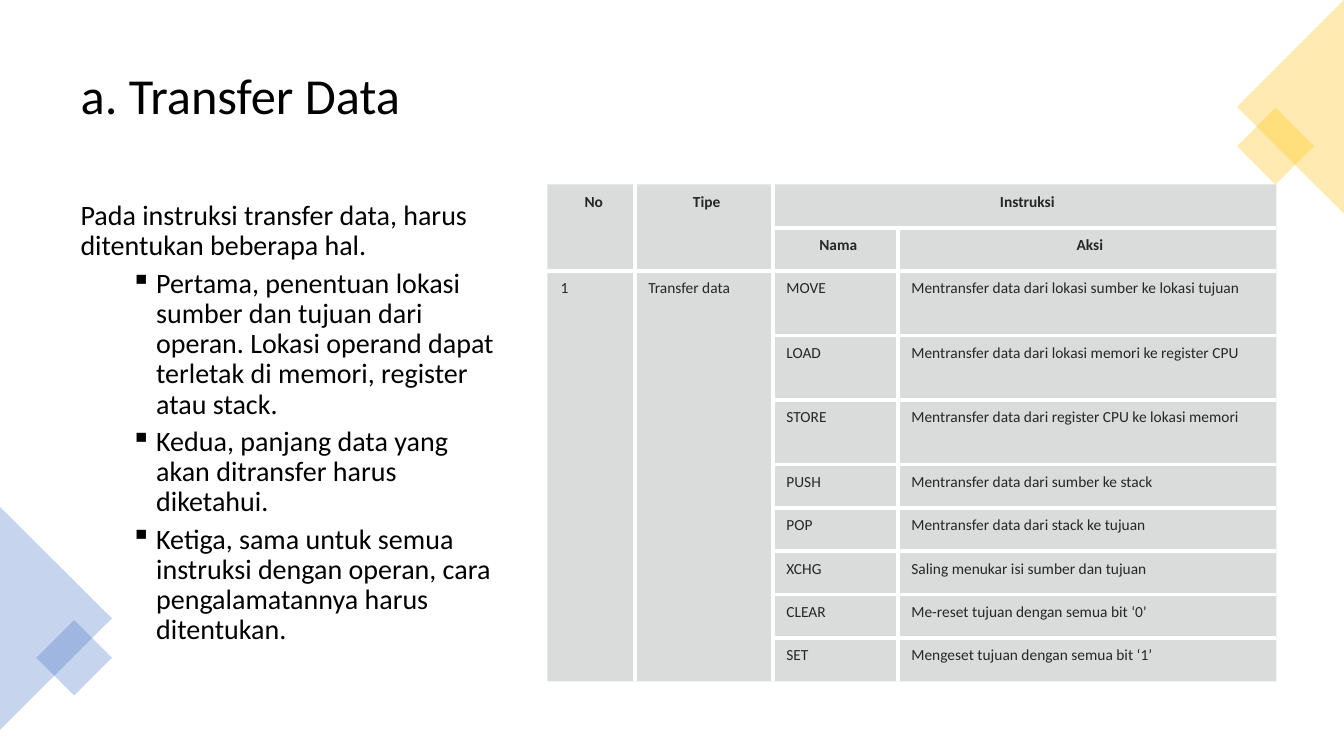
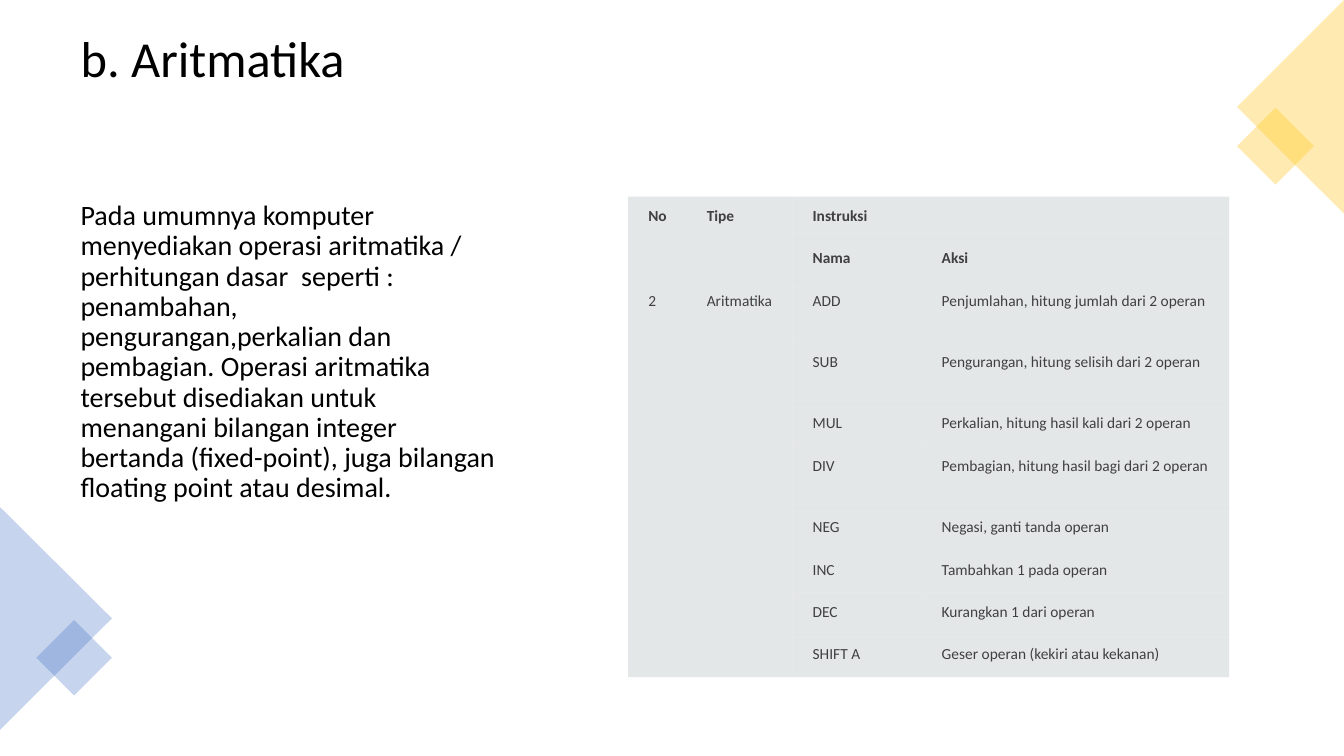
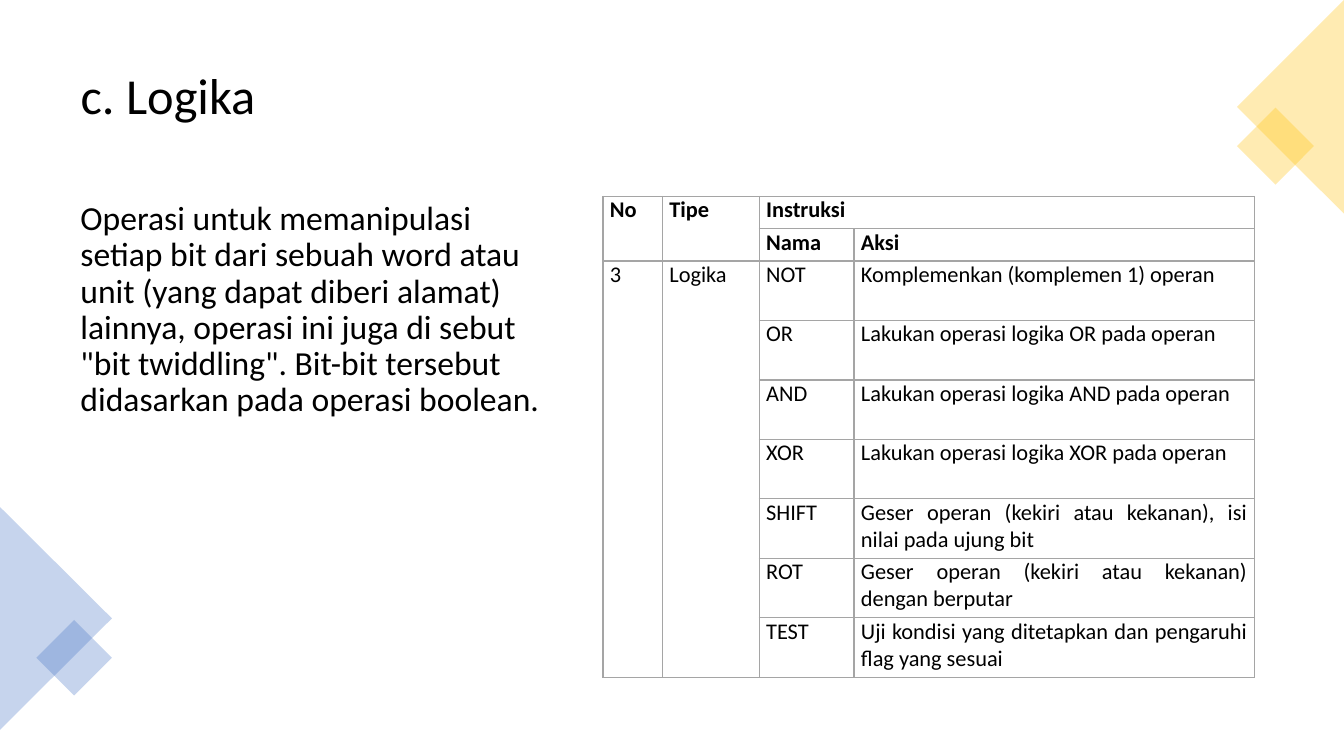
from lxml import etree
from pptx import Presentation
from pptx import util as u
from pptx.dml.color import RGBColor
from pptx.enum import shapes, text
from pptx.oxml.ns import qn

COLORS = {
    "text": "000000",
    "blue": "4472C4",
    "gold": "FFC000",
    "white": "FFFFFF",
    "grid": "A5A5A5",
    "transfer_fill": "878E8B",
    "transfer_text": "262626",
    "arithmetic_fill": "B4BCBE",
    "arithmetic_text": "404040",
}
FONT = "Calibri"
LEFT, CENTER, JUSTIFY = text.PP_ALIGN.LEFT, text.PP_ALIGN.CENTER, text.PP_ALIGN.JUSTIFY
TRIANGLE = shapes.MSO_SHAPE.ISOSCELES_TRIANGLE
SQUARE = shapes.MSO_SHAPE.RECTANGLE

CORNERS = [
    (TRIANGLE, -0.55, 5.58, 2.21, 1.11, 90, "blue"),
    (SQUARE, 0.47, 6.26, 0.53, 0.53, 45, "blue"),
    (SQUARE, 12.38, 1.18, 0.54, 0.54, 45, "gold"),
    (TRIANGLE, 11.74, 0.53, 2.12, 1.06, 270, "gold"),
]

TOPICS = [
    {
        "title": "a. Transfer Data",
        "body": "Pada instruksi transfer data, harus ditentukan beberapa hal.",
        "bullets": [
            "Pertama, penentuan lokasi sumber dan tujuan dari operan. Lokasi operand dapat terletak di memori, register atau stack.",
            "Kedua, panjang data yang akan ditransfer harus diketahui.",
            "Ketiga, sama untuk semua instruksi dengan operan, cara pengalamatannya harus ditentukan.",
        ],
        "body_width": 4.38, "body_size": 20,
        "number": "1", "kind": "Transfer data",
        "instructions": [
            ("MOVE", "Mentransfer data dari lokasi sumber ke lokasi tujuan"),
            ("LOAD", "Mentransfer data dari lokasi memori ke register CPU"),
            ("STORE", "Mentransfer data dari register CPU ke lokasi memori"),
            ("PUSH", "Mentransfer data dari sumber ke stack"),
            ("POP", "Mentransfer data dari stack ke tujuan"),
            ("XCHG", "Saling menukar isi sumber dan tujuan"),
            ("CLEAR", "Me-reset tujuan dengan semua bit ‘0’"),
            ("SET", "Mengeset tujuan dengan semua bit ‘1’"),
        ],
        "left": 5.43, "top": 1.83,
        "columns": [0.87, 1.37, 1.24, 3.75],
        "rows": [0.43] * 2 + [0.64] * 3 + [0.43] * 5,
        "insets": (0.13, 0.08, 0.08, 0.08),
        "size": 11, "color": "transfer_text", "header_align": CENTER,
        "fill": "transfer_fill", "alpha": 30,
        "border": "white", "border_width": 3, "outer_border": False,
    },
    {
        "title": "b. Aritmatika", "title_break": True,
        "body": "Pada umumnya komputer menyediakan operasi aritmatika / perhitungan dasar  seperti : penambahan, pengurangan,perkalian dan pembagian. Operasi aritmatika tersebut disediakan untuk menangani bilangan integer bertanda (fixed-point), juga bilangan floating point atau desimal.",
        "bullets": [],
        "body_width": 4.38, "body_size": 20,
        "number": "2", "kind": "Aritmatika",
        "instructions": [
            ("ADD", "Penjumlahan, hitung jumlah dari 2 operan"),
            ("SUB", "Pengurangan, hitung selisih dari 2 operan"),
            ("MUL", "Perkalian, hitung hasil kali dari 2 operan"),
            ("DIV", "Pembagian, hitung hasil bagi dari 2 operan"),
            ("NEG", "Negasi, ganti tanda operan"),
            ("INC", "Tambahkan 1 pada operan"),
            ("DEC", "Kurangkan 1 dari operan"),
            ("SHIFT A", "Geser operan (kekiri atau kekanan)"),
        ],
        "left": 6.23, "top": 1.95,
        "columns": [0.58, 1.05, 1.28, 3.05],
        "rows": [0.42, 0.42, 0.61, 0.61, 0.42, 0.61] + [0.42] * 4,
        "insets": (0.2, 0.1, 0.1, 0.1),
        "size": 11, "color": "arithmetic_text", "header_align": JUSTIFY,
        "fill": "arithmetic_fill", "alpha": 35,
        "border": None, "border_width": 0, "outer_border": False,
    },
    {
        "title": "c. Logika",
        "body": "Operasi untuk memanipulasi setiap bit dari sebuah word atau unit (yang dapat diberi alamat) lainnya, operasi ini juga di sebut \"bit twiddling\". Bit-bit tersebut didasarkan pada operasi boolean.",
        "bullets": [],
        "body_width": 4.83, "body_size": 24,
        "number": "3", "kind": "Logika",
        "instructions": [
            ("NOT", "Komplemenkan (komplemen 1) operan"),
            ("OR", "Lakukan operasi logika OR pada operan"),
            ("AND", "Lakukan operasi logika AND pada operan"),
            ("XOR", "Lakukan operasi logika XOR pada operan"),
            ("SHIFT", "Geser operan (kekiri atau kekanan), isi nilai pada ujung bit"),
            ("ROT", "Geser operan (kekiri atau kekanan) dengan berputar"),
            ("TEST", "Uji kondisi yang ditetapkan dan pengaruhi flag yang sesuai"),
        ],
        "left": 5.98, "top": 1.95,
        "columns": [0.59, 0.96, 0.94, 3.97],
        "rows": [0.32] * 2 + [0.59] * 7,
        "insets": (0.07, 0, 0.07, 0),
        "size": 16, "color": "text", "header_align": JUSTIFY,
        "fill": None, "alpha": 100,
        "border": "grid", "border_width": 1, "outer_border": True,
    },
]


def write(para, content, size=20, color="text", bold=False, align=LEFT, spacing=None, before=None):
    para.alignment = align
    if spacing is not None:
        para.line_spacing = spacing
    if before is not None:
        para.space_before = u.Pt(before)
    span = para.add_run()
    span.text = content
    span.font.name = FONT
    span.font.size = u.Pt(size)
    span.font.bold = bold
    span.font.color.rgb = RGBColor.from_string(COLORS[color])


def tint(fill, holder, color, alpha):
    fill.solid()
    fill.fore_color.rgb = RGBColor.from_string(COLORS[color])
    shade = holder.find(qn("a:solidFill")).find(qn("a:srgbClr"))
    etree.SubElement(shade, qn("a:alpha"), val=str(alpha * 1000))


deck = Presentation()
deck.slide_width = u.Inches(13.33)
deck.slide_height = u.Inches(7.5)

for topic in TOPICS:
    page = deck.slides.add_slide(deck.slide_layouts[5])

    title = page.shapes.title
    title.left, title.top = u.Inches(0.7), u.Inches(0.35)
    title.width, title.height = u.Inches(11.93), u.Inches(1.24)
    frame = title.text_frame
    frame.word_wrap = True
    frame.auto_size = text.MSO_AUTO_SIZE.NONE
    frame.vertical_anchor = text.MSO_ANCHOR.MIDDLE
    write(frame.paragraphs[0], topic["title"], size=36, spacing=0.9)
    if topic.get("title_break"):
        frame.paragraphs[0].add_line_break()
        write(frame.paragraphs[0], "", size=36, spacing=0.9)

    box = page.shapes.add_textbox(
        u.Inches(0.7), u.Inches(1.95), u.Inches(topic["body_width"]), u.Inches(4.81))
    frame = box.text_frame
    frame.word_wrap = True
    write(frame.paragraphs[0], topic["body"], size=topic["body_size"], spacing=0.9)
    for point in topic["bullets"]:
        para = frame.add_paragraph()
        properties = para._p.get_or_add_pPr()
        properties.set("marL", str(u.Inches(0.75)))
        properties.set("indent", str(u.Inches(-0.25)))
        etree.SubElement(properties, qn("a:buChar"), char="▪")
        write(para, point, size=topic["body_size"], spacing=0.9, before=5)

    for preset, left, top, width, height, turn, color in CORNERS:
        corner = page.shapes.add_shape(
            preset, u.Inches(left), u.Inches(top), u.Inches(width), u.Inches(height))
        corner.rotation = turn
        corner.shadow.inherit = False
        corner.line.fill.background()
        tint(corner.fill, corner._element.spPr, color, 30)

    columns, rows = topic["columns"], topic["rows"]
    table = page.shapes.add_table(
        len(rows), len(columns), u.Inches(topic["left"]), u.Inches(topic["top"]),
        u.Inches(sum(columns)), u.Inches(sum(rows))).table
    table.first_row = False
    table.horz_banding = False
    for column, width in zip(table.columns, columns):
        column.width = u.Inches(width)
    for row, height in zip(table.rows, rows):
        row.height = u.Inches(height)

    for column in (0, 1):
        table.cell(0, column).merge(table.cell(1, column))
        table.cell(2, column).merge(table.cell(len(rows) - 1, column))
    table.cell(0, 2).merge(table.cell(0, 3))

    entries = [("No", "Tipe", "Instruksi", ""), ("", "", "Nama", "Aksi")]
    for index, instruction in enumerate(topic["instructions"]):
        lead = (topic["number"], topic["kind"]) if index == 0 else ("", "")
        entries.append(lead + instruction)

    for r, entry in enumerate(entries):
        for c, content in enumerate(entry):
            cell = table.cell(r, c)
            (cell.margin_left, cell.margin_top,
             cell.margin_right, cell.margin_bottom) = map(u.Inches, topic["insets"])
            if content:
                write(cell.text_frame.paragraphs[0], content, size=topic["size"],
                      color=topic["color"], bold=r < 2,
                      align=topic["header_align"] if r < 2 else JUSTIFY)
            properties = cell._tc.get_or_add_tcPr()
            if topic["fill"]:
                tint(cell.fill, properties, topic["fill"], topic["alpha"])
            else:
                cell.fill.background()

            inner = {
                "a:lnL": c > 0,
                "a:lnR": c + cell.span_width < len(columns),
                "a:lnT": r > 0,
                "a:lnB": r + cell.span_height < len(rows),
            }
            for place, (side, is_inner) in enumerate(inner.items()):
                edge = etree.Element(qn(side), w=str(u.Pt(topic["border_width"])))
                if topic["border"] and (is_inner or topic["outer_border"]):
                    stroke = etree.SubElement(edge, qn("a:solidFill"))
                    etree.SubElement(stroke, qn("a:srgbClr"), val=COLORS[topic["border"]])
                else:
                    etree.SubElement(edge, qn("a:noFill"))
                properties.insert(place, edge)

deck.save("out.pptx")
